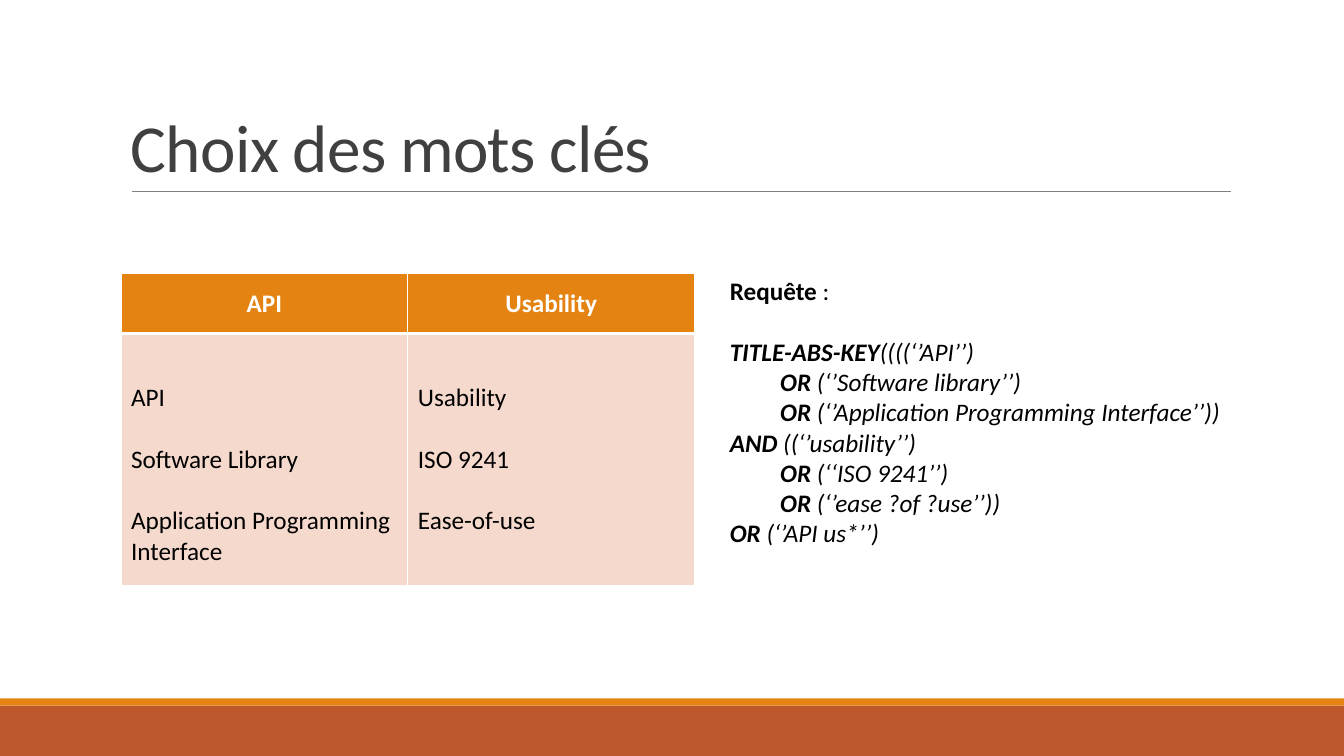
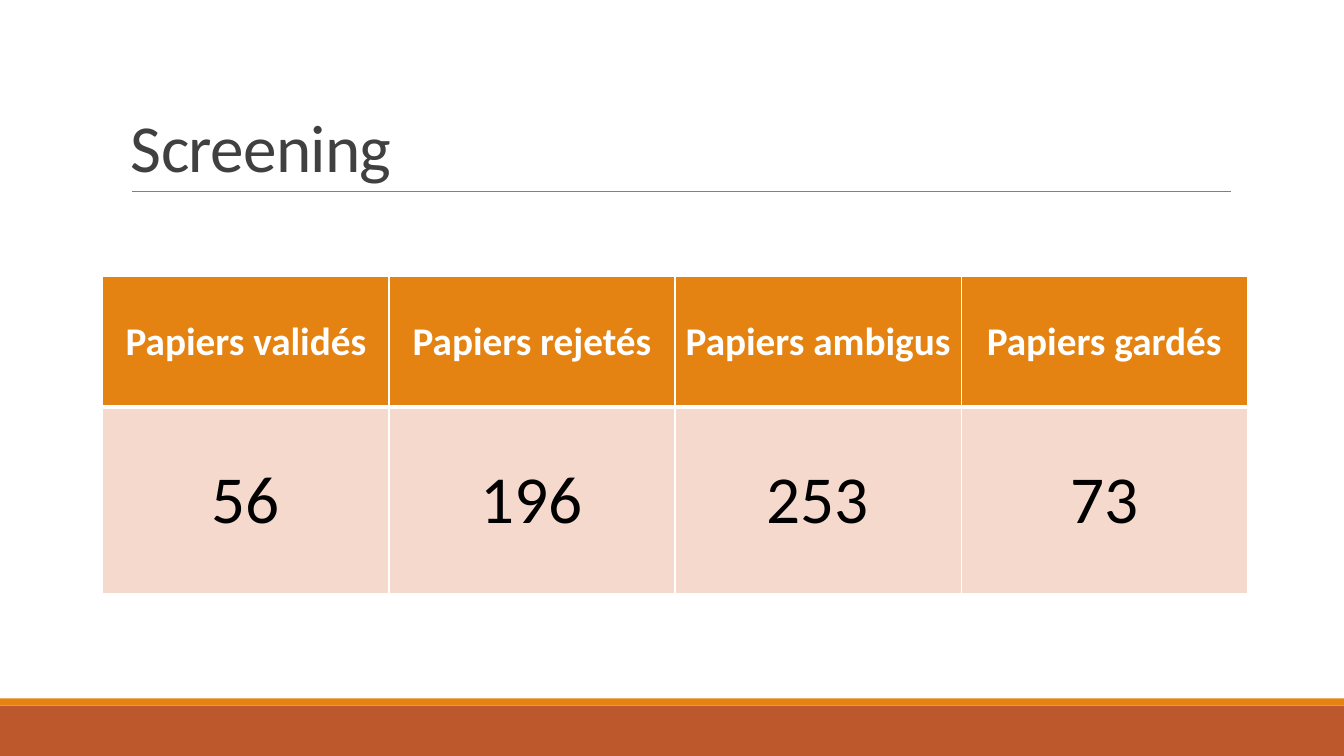
import pptx
import pptx.dml.color
import pptx.enum.shapes
import pptx.enum.text
import pptx.oxml
import pptx.oxml.ns
import pptx.util
import lxml.etree

Inches = pptx.util.Inches
Pt = pptx.util.Pt
ALIGN = pptx.enum.text.PP_ALIGN
ANCHOR = pptx.enum.text.MSO_ANCHOR

WIDTH, HEIGHT = 13.33, 7.5
FONT = "Calibri"
COLOURS = {
    "footer": "BD582C", "accent": "E48312", "rule": "808080", "title": "404040",
    "body": "F5D9CC", "white": "FFFFFF", "black": "000000",
}
BLANK_LINE = Pt(22)
QUERY_INDENT = 0.5


def colour(name):
    """Return the named colour."""
    return pptx.dml.color.RGBColor.from_string(COLOURS[name])


def apply(target, values):
    """Set each attribute of target from a dict."""
    for name, value in values.items():
        setattr(target, name, value)


def add_span(para, text, size, shade, **values):
    """Add one formatted run to a paragraph."""
    span = para.add_run()
    span.text = text
    apply(span.font, {"name": FONT, "size": Pt(size), **values})
    span.font.color.rgb = colour(shade)
    return span


def next_para(frame, index):
    """Return the first paragraph of a frame, or a new one after it."""
    return frame.add_paragraph() if index else frame.paragraphs[0]


def add_text_box(page, box, anchor):
    """Add an empty wrapping text box."""
    frame = page.shapes.add_textbox(*map(Inches, box)).text_frame
    apply(frame, {"word_wrap": True, "vertical_anchor": anchor})
    return frame


def add_band(page, box, shade):
    """Add a plain filled band."""
    band = page.shapes.add_shape(
        pptx.enum.shapes.MSO_SHAPE.RECTANGLE, *map(Inches, box))
    band.shadow.inherit = False
    band.fill.solid()
    band.fill.fore_color.rgb = colour(shade)
    band.line.fill.background()


def add_title(page, box, text):
    """Add the title, and the rule along the bottom of its box."""
    left, top, width, height = box
    bottom = top + height
    rule = page.shapes.add_connector(
        pptx.enum.shapes.MSO_CONNECTOR.STRAIGHT,
        *map(Inches, (left + 0.11, bottom, left + width + 0.01, bottom)))
    rule.line.color.rgb = colour("rule")
    rule.line.width = Pt(0.5)
    lxml.etree.SubElement(rule._element.spPr, pptx.oxml.ns.qn("a:effectLst"))
    para = add_text_box(page, box, ANCHOR.BOTTOM).paragraphs[0]
    para.line_spacing = 0.85
    span = add_span(para, text, 48, "title")
    span.font._element.set("spc", "-50")


def add_page(deck, title):
    """Add a blank page with the shared bands and title."""
    page = deck.slides.add_slide(deck.slide_layouts[6])
    add_band(page, (0, 7, WIDTH, 0.5), "footer")
    add_band(page, (0, 6.93, WIDTH, 0.07), "accent")
    add_title(page, (1.2, 0.31, 11, 1.59), title)
    return page


def add_borders(cell, widths):
    """Give a cell white borders, with widths in points by side."""
    props = cell._tc.get_or_add_tcPr()
    for index, (side, width) in enumerate(widths.items()):
        props.insert(index, pptx.oxml.parse_xml(
            f'<a:ln{side} {pptx.oxml.ns.nsdecls("a")} w="{Pt(width)}"><a:solidFill>'
            f'<a:srgbClr val="{COLOURS["white"]}"/></a:solidFill></a:ln{side}>'))


def add_table(page, box, row_heights, headers, cells, header_size, body_size, align):
    """Add a header row and one body row; each body cell lists its terms."""
    left, top, width, _ = box
    table = page.shapes.add_table(2, len(headers), *map(Inches, box)).table
    table.horz_banding = False
    for column in table.columns:
        column.width = Inches(width / len(headers))
    rows = [
        ([[header] for header in headers], "accent", ALIGN.CENTER,
         {"size": header_size, "shade": "white", "bold": True},
         {"L": 1, "R": 1, "T": 1, "B": 3}),
        (cells, "body", align,
         {"size": body_size, "shade": "black", "bold": False},
         {"L": 1, "R": 1, "T": 3, "B": 1}),
    ]
    for r, (entries, fill, row_align, style, borders) in enumerate(rows):
        table.rows[r].height = Inches(row_heights[r])
        for c, terms in enumerate(entries):
            cell = table.cell(r, c)
            cell.vertical_anchor = ANCHOR.MIDDLE
            cell.fill.solid()
            cell.fill.fore_color.rgb = colour(fill)
            add_borders(cell, borders)
            for index, term in enumerate(terms):
                para = next_para(cell.text_frame, index)
                para.alignment = row_align
                if index:
                    para.space_before = BLANK_LINE
                add_span(para, term, **style)
    return table


def add_query(page, box, heading, lines):
    """Add the search query; each line is (indented, keyword, rest)."""
    frame = add_text_box(page, box, ANCHOR.TOP)
    para = frame.paragraphs[0]
    add_span(para, heading, 18, "black", bold=True)
    add_span(para, "\u00a0:", 18, "black")
    for index, (indented, keyword, rest) in enumerate(lines):
        para = frame.add_paragraph()
        if index == 0:
            para.space_before = BLANK_LINE
        if indented:
            props = para._p.get_or_add_pPr()
            props.set("marL", str(Inches(QUERY_INDENT)))
            props.set("indent", "0")
        add_span(para, keyword, 18, "black", bold=True, italic=True)
        add_span(para, rest, 18, "black", italic=True)


def build_keywords(deck):
    """Build the keyword page: table of terms and search query."""
    page = add_page(deck, "Choix des mots clés")
    table = add_table(
        page, (1.2, 2.71, 5.69, 3.1), (0.6, 2.5), ["API", "Usability"],
        [["API", "Software Library", "Application Programming Interface"],
         ["Usability", "ISO 9241", "Ease-of-use"]],
        18, 18, ALIGN.LEFT)
    table.cell(1, 0).margin_top = Inches(0.05) + BLANK_LINE
    add_query(page, (7.14, 2.68, 5.23, 2.83), "Requête", [
        (False, "TITLE-ABS-KEY", "((((‘’API’’)"),
        (True, "OR", " (‘’Software library’’)"),
        (True, "OR", " (‘’Application Programming Interface’’))"),
        (False, "AND", " ((‘’usability’’)"),
        (True, "OR", " (‘‘ISO 9241’’)"),
        (True, "OR", " (‘’ease\u00a0?of\u00a0?use’’))"),
        (False, "OR", " (‘’API us*’’)"),
    ])


def build_screening(deck):
    """Build the screening page: paper counts by outcome."""
    page = add_page(deck, "Screening")
    counts = {"validés": 56, "rejetés": 196, "ambigus": 253, "gardés": 73}
    add_table(
        page, (1.02, 2.74, 11.35, 3.15), (1.3, 1.85),
        [f"Papiers {outcome}" for outcome in counts],
        [[str(count)] for count in counts.values()],
        28, 48, ALIGN.CENTER)


def main():
    """Build and save the deck."""
    deck = pptx.Presentation()
    apply(deck, {"slide_width": Inches(WIDTH), "slide_height": Inches(HEIGHT)})
    build_keywords(deck)
    build_screening(deck)
    deck.save("out.pptx")


main()
